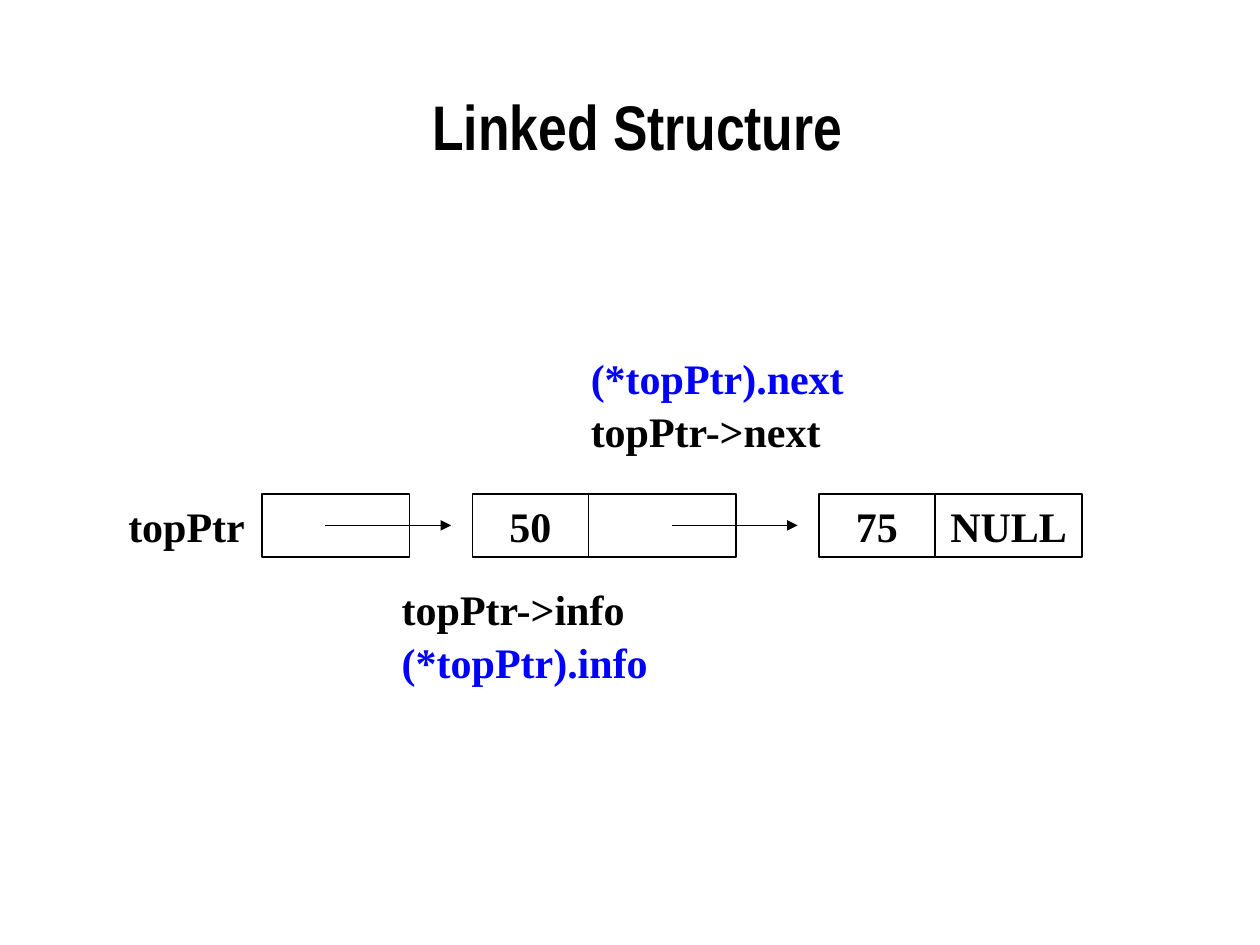
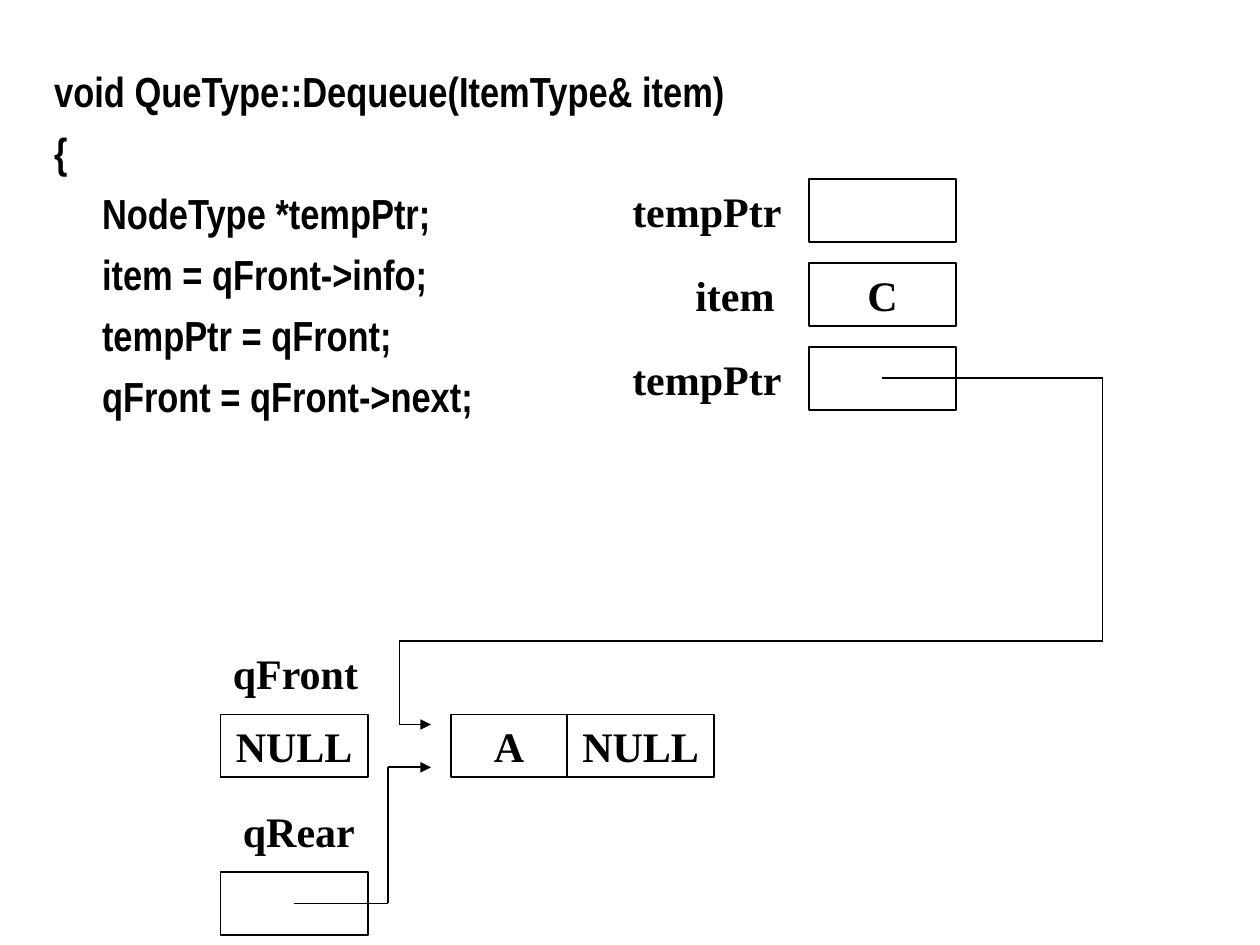
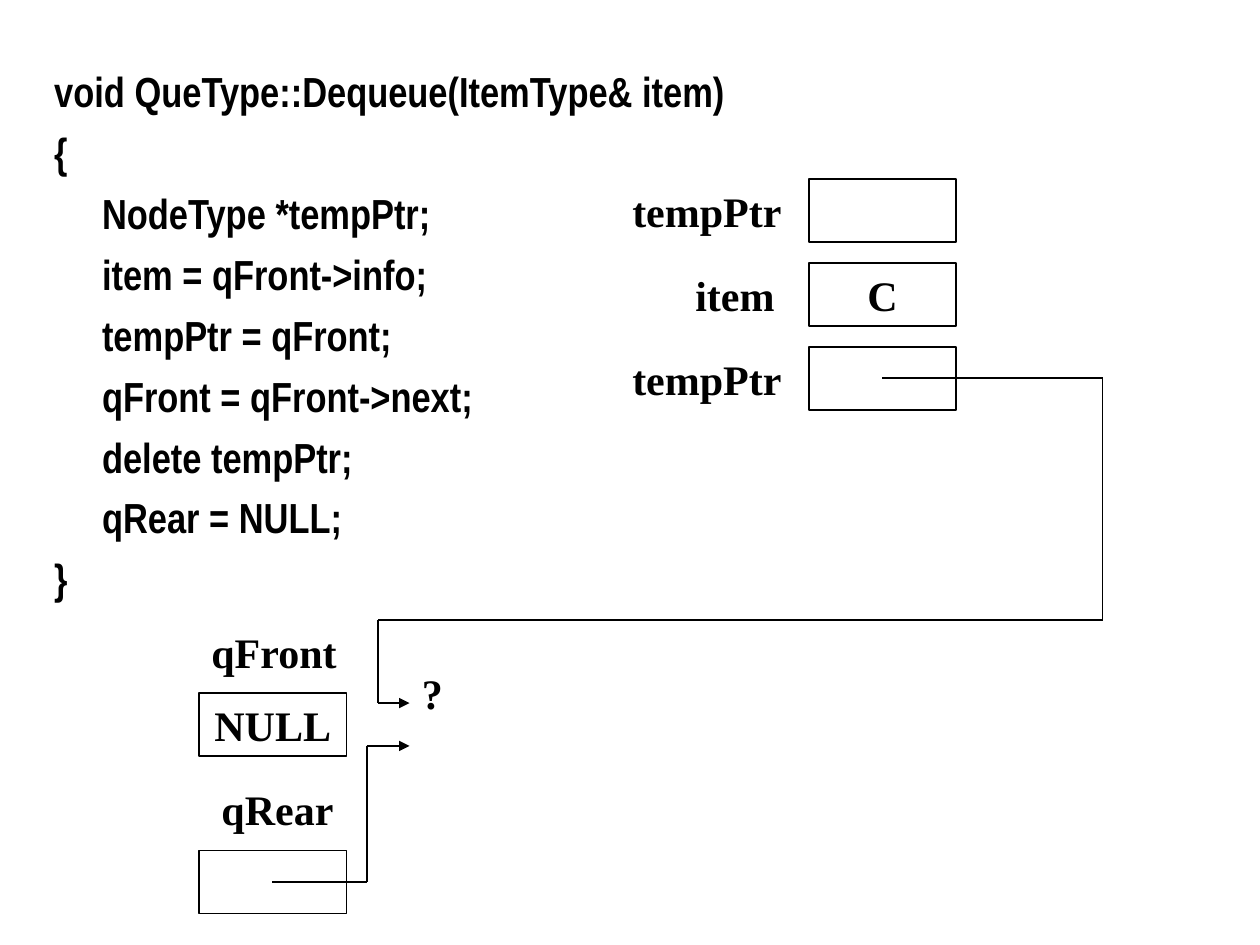
from pptx import Presentation
from pptx.dml.color import RGBColor
from pptx.enum import shapes, text
from pptx.oxml import xmlchemy
from pptx.util import Inches, Pt

COLORS = {"ink": "000000", "paper": "FFFFFF", "accent": "0000FF"}
CODE_FONT = "Arial Narrow"
LABEL_FONT = "Times New Roman"

BOX_HEIGHT = 0.5
INFO_WIDTH = 0.92
LINK_WIDTH = 1.17

TITLE_ONLY, TITLE_AND_CONTENT = 5, 1

DEQUEUE_START = [
    (0, "void QueType::Dequeue(ItemType& item)"),
    (0, "{"),
    (1, "NodeType *tempPtr;"),
    (1, "item = qFront->info;"),
    (1, "tempPtr = qFront;"),
    (1, "qFront = qFront->next;"),
]
DEQUEUE_END = [(1, "delete tempPtr;"), (1, "qRear = NULL;"), (0, "}")]


def rgb(name):
    return RGBColor.from_string(COLORS[name])


def write(paragraph, content, size=24, font=LABEL_FONT, color="ink",
          align=text.PP_ALIGN.LEFT):
    paragraph.alignment = align
    run = paragraph.add_run()
    run.text = content
    run.font.size = Pt(size)
    run.font.name = font
    run.font.bold = True
    run.font.color.rgb = rgb(color)


class Deck:
    def __init__(self):
        self.presentation = Presentation()
        self.presentation.slide_width = Inches(10)
        self.presentation.slide_height = Inches(7.5)
        self.slide = None

    def add_slide(self, layout):
        layouts = self.presentation.slide_layouts
        self.slide = self.presentation.slides.add_slide(layouts[layout])

    def place(self, shape, left, top, width, height):
        shape.left, shape.top = Inches(left), Inches(top)
        shape.width, shape.height = Inches(width), Inches(height)

    def title(self, content):
        self.add_slide(TITLE_ONLY)
        shape = self.slide.shapes.title
        self.place(shape, 0.33, 0.37, 9.46, 1.25)
        shape.text_frame.vertical_anchor = text.MSO_ANCHOR.MIDDLE
        write(shape.text_frame.paragraphs[0], content, size=36,
              font=CODE_FONT, align=text.PP_ALIGN.CENTER)

    def code(self, lines):
        """Start a slide whose body holds (indent level, line) pairs."""
        self.add_slide(TITLE_AND_CONTENT)
        title = self.slide.shapes.title.element
        title.getparent().remove(title)
        shape = self.slide.placeholders[1]
        self.place(shape, 0.33, 0.47, 9.49, 4.5)
        frame = shape.text_frame
        frame.auto_size = text.MSO_AUTO_SIZE.NONE
        frame.vertical_anchor = text.MSO_ANCHOR.TOP
        for index, (level, line) in enumerate(lines):
            paragraph = frame.add_paragraph() if index else frame.paragraphs[0]
            paragraph.space_before = Pt(6)
            write(paragraph, line, font=CODE_FONT)
            properties = paragraph._p.get_or_add_pPr()
            properties.set("marL", str(Inches(0.38 * level)))
            properties.set("indent", "0")
            properties.append(xmlchemy.OxmlElement("a:buNone"))

    def label(self, content, left, top, width, color="ink"):
        shape = self.slide.shapes.add_textbox(
            Inches(left), Inches(top), Inches(width), Inches(BOX_HEIGHT))
        shape.text_frame.word_wrap = True
        write(shape.text_frame.paragraphs[0], content, color=color)

    def box(self, left, top, width=LINK_WIDTH, content=""):
        shape = self.slide.shapes.add_shape(
            shapes.MSO_SHAPE.RECTANGLE, Inches(left), Inches(top),
            Inches(width), Inches(BOX_HEIGHT))
        shape.shadow.inherit = False
        shape.fill.solid()
        shape.fill.fore_color.rgb = rgb("paper")
        shape.line.width = Pt(1)
        shape.line.color.rgb = rgb("ink")
        if content:
            frame = shape.text_frame
            frame.word_wrap = False
            frame.vertical_anchor = text.MSO_ANCHOR.MIDDLE
            write(frame.paragraphs[0], content, align=text.PP_ALIGN.CENTER)

    def node(self, left, top, info, link=""):
        self.box(left, top, INFO_WIDTH, info)
        self.box(left + INFO_WIDTH, top, LINK_WIDTH, link)

    def arrow(self, *points):
        """Join the points with straight lines; the last one has a head."""
        for start, end in zip(points, points[1:]):
            connector = self.slide.shapes.add_connector(
                shapes.MSO_CONNECTOR.STRAIGHT,
                *(Inches(value) for value in start + end))
            connector.line.width = Pt(1)
            connector.line.color.rgb = rgb("ink")
            properties = connector._element.spPr
            properties.append(xmlchemy.OxmlElement("a:effectLst"))
        head = xmlchemy.OxmlElement("a:tailEnd")
        head.set("type", "triangle")
        connector.line._get_or_add_ln().append(head)

    def variables(self):
        rows = [("tempPtr", 4.92, ""), ("item", 5.42, "C"), ("tempPtr", 4.92, "")]
        for index, (name, left, value) in enumerate(rows):
            top = 1.42 + index * 2 / 3
            self.box(6.42, top, content=value)
            self.label(name, left, top, 6.78 - left)

    def queue(self, left, top):
        """Draw qFront at the given corner, qRear below, and their arrows."""
        self.box(left, top, content="NULL")
        self.label("qFront", left, top - 0.58, 1.53)
        self.box(left, top + 1.25)
        self.label("qRear", left + 0.08, top + 0.67, 1.53)
        tip = left + 1.67
        temp_turn, rear_turn = left + 1.42, left + 1.33
        self.arrow((7, 3), (8.75, 3), (8.75, top - 0.58),
                   (temp_turn, top - 0.58), (temp_turn, top + 0.08),
                   (tip, top + 0.08))
        self.arrow((left + 0.58, top + 1.5), (rear_turn, top + 1.5),
                   (rear_turn, top + 0.42), (tip, top + 0.42))


def linked_structure(deck):
    deck.title("Linked Structure")
    top = 3.92
    deck.label("topPtr", 0.92, top, 1.53)
    deck.box(2.08, top)
    deck.node(3.75, top, "50")
    deck.node(6.5, top, "75", "NULL")
    for start in (2.58, 5.33):
        deck.arrow((start, 4.17), (start + 1, 4.17))
    deck.label("(*topPtr).next", 4.59, 2.75, 2.25, color="accent")
    deck.label("topPtr->next", 4.59, 3.17, 2.05)
    deck.label("topPtr->info", 3.09, 4.58, 2)
    deck.label("(*topPtr).info", 3.09, 5, 2.2, color="accent")


def dequeue_front(deck):
    deck.code(DEQUEUE_START)
    deck.variables()
    deck.queue(1.75, 5.67)
    deck.node(3.58, 5.67, "A", "NULL")


def dequeue_last(deck):
    deck.code(DEQUEUE_START + DEQUEUE_END)
    deck.variables()
    deck.queue(1.58, 5.5)
    deck.label("?", 3.25, 5.25, 0.4)


def main():
    deck = Deck()
    linked_structure(deck)
    dequeue_front(deck)
    dequeue_last(deck)
    deck.presentation.save("out.pptx")


if __name__ == "__main__":
    main()
